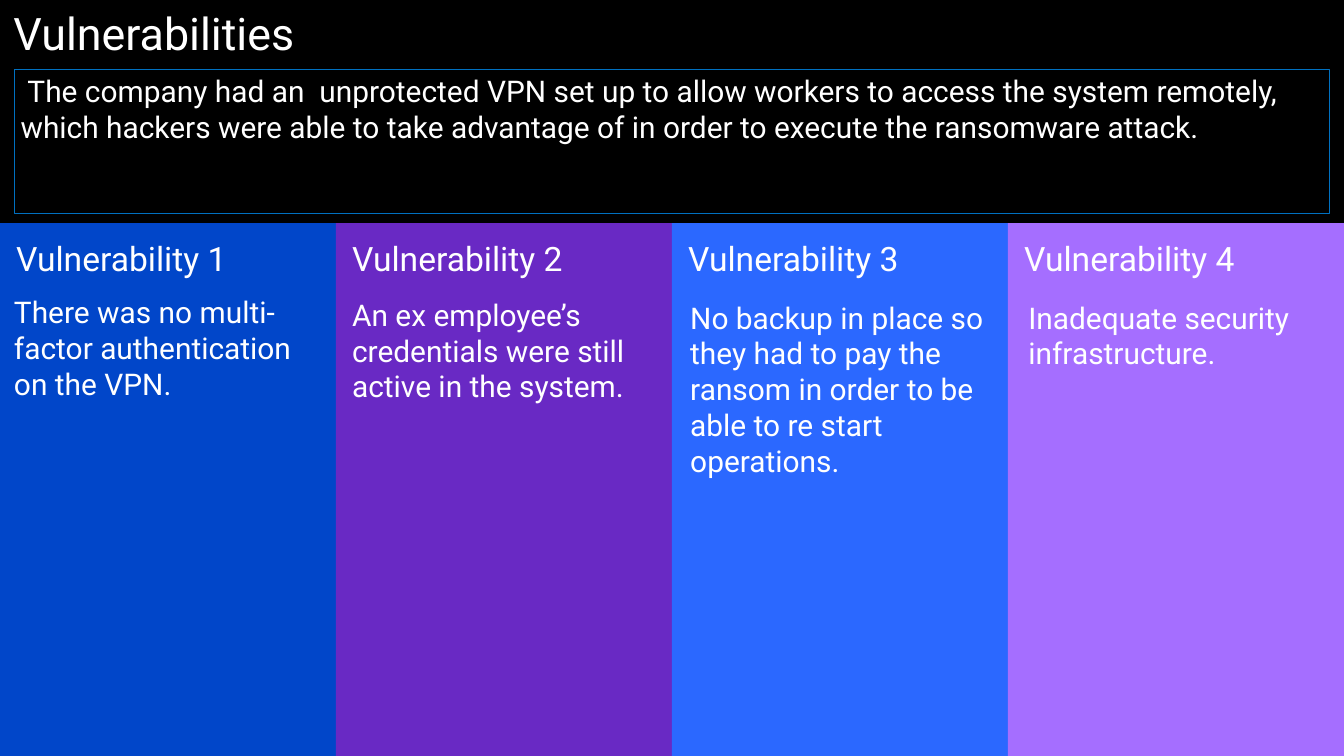
from dataclasses import dataclass

from pptx import Presentation
from pptx.dml.color import RGBColor
from pptx.enum import shapes, text
from pptx.util import Cm, Length, Pt

FONT = "Roboto"
BLACK = RGBColor(0x00, 0x00, 0x00)
WHITE = RGBColor(0xFF, 0xFF, 0xFF)
DEEP_BLUE = RGBColor(0x01, 0x46, 0xC9)
PURPLE = RGBColor(0x69, 0x29, 0xC4)
BRIGHT_BLUE = RGBColor(0x2B, 0x68, 0xFF)
LILAC = RGBColor(0xA5, 0x6E, 0xFF)
OUTLINE_BLUE = RGBColor(0x00, 0x70, 0xC0)

SLIDE_WIDTH = Cm(50.8)
SLIDE_HEIGHT = SLIDE_WIDTH * 9 // 16
COLUMN_TOP = Cm(8.43)
NOTE_LEFT = Cm(0.28)
NOTE_STEP = Cm(12.78)
NOTE_WIDTH = Cm(11.91)


@dataclass(frozen=True)
class Insets:
    left: Length
    top: Length
    right: Length
    bottom: Length


TITLE_INSETS = Insets(Cm(0.51), Cm(0.46), Cm(0.64), Cm(0.64))
COLUMN_INSETS = Insets(Cm(0.61), Cm(0.56), Cm(0.64), Cm(0.64))
NOTE_INSETS = Insets(Cm(0.25), Cm(0.13), Cm(0.25), Cm(0.13))


@dataclass(frozen=True)
class Vulnerability:
    color: RGBColor
    note: str
    note_top: Length
    note_height: Length


VULNERABILITIES = [
    Vulnerability(DEEP_BLUE, "There was no multi-factor authentication on the VPN.",
                  Cm(10.97), Cm(4.32)),
    Vulnerability(PURPLE, "An ex employee’s credentials were still active in the system.",
                  Cm(11.07), Cm(4.32)),
    Vulnerability(BRIGHT_BLUE, "No backup in place so they had to pay the ransom in order "
                  "to be able to re start operations.", Cm(11.18), Cm(7.04)),
    Vulnerability(LILAC, "Inadequate security infrastructure.", Cm(11.18), Cm(2.97)),
]
INTRODUCTION = (
    " The company had an  unprotected VPN set up to allow workers to access the system "
    "remotely, which hackers were able to take advantage of in order to execute the "
    "ransomware attack."
)


def write_text(shape, content: str, size: int, insets: Insets) -> None:
    frame = shape.text_frame
    frame.text = content
    frame.word_wrap = True
    frame.auto_size = text.MSO_AUTO_SIZE.NONE
    frame.vertical_anchor = text.MSO_ANCHOR.TOP
    frame.margin_left, frame.margin_top = insets.left, insets.top
    frame.margin_right, frame.margin_bottom = insets.right, insets.bottom
    for paragraph in frame.paragraphs:
        paragraph.alignment = text.PP_ALIGN.LEFT
        for run in paragraph.runs:
            run.font.name = FONT
            run.font.size = Pt(size)
            run.font.color.rgb = WHITE


def add_title(slide, content: str) -> None:
    title = slide.shapes.title
    title.left, title.top = Cm(0), Cm(0)
    title.width, title.height = SLIDE_WIDTH, Cm(7.9)
    write_text(title, content, 48, TITLE_INSETS)
    title.text_frame.paragraphs[0].line_spacing = 0.9


def add_rectangle(slide, left: Length, top: Length, width: Length, height: Length):
    rectangle = slide.shapes.add_shape(
        shapes.MSO_SHAPE.RECTANGLE, left, top, width, height)
    rectangle.shadow.inherit = False
    return rectangle


def add_column(slide, index: int, vulnerability: Vulnerability) -> None:
    width = SLIDE_WIDTH // len(VULNERABILITIES)
    column = add_rectangle(
        slide, index * width, COLUMN_TOP, width, SLIDE_HEIGHT - COLUMN_TOP)
    column.fill.solid()
    column.fill.fore_color.rgb = vulnerability.color
    column.line.fill.background()
    write_text(column, f"Vulnerability {index + 1}", 36, COLUMN_INSETS)


def add_introduction(slide) -> None:
    box = add_rectangle(slide, Cm(0.53), Cm(2.62), Cm(49.71), Cm(5.46))
    box.fill.background()
    box.line.color.rgb = OUTLINE_BLUE
    box.line.width = Pt(0)
    write_text(box, INTRODUCTION, 32, NOTE_INSETS)


def add_note(slide, index: int, vulnerability: Vulnerability) -> None:
    note = slide.shapes.add_textbox(
        NOTE_LEFT + index * NOTE_STEP, vulnerability.note_top,
        NOTE_WIDTH, vulnerability.note_height)
    write_text(note, vulnerability.note, 32, NOTE_INSETS)


def main() -> None:
    presentation = Presentation()
    presentation.slide_width = SLIDE_WIDTH
    presentation.slide_height = SLIDE_HEIGHT
    slide = presentation.slides.add_slide(presentation.slide_layouts[5])
    slide.background.fill.solid()
    slide.background.fill.fore_color.rgb = BLACK

    add_title(slide, "Vulnerabilities")
    for index, vulnerability in enumerate(VULNERABILITIES):
        add_column(slide, index, vulnerability)
    add_introduction(slide)
    for index, vulnerability in enumerate(VULNERABILITIES):
        add_note(slide, index, vulnerability)

    presentation.save("out.pptx")


if __name__ == "__main__":
    main()
